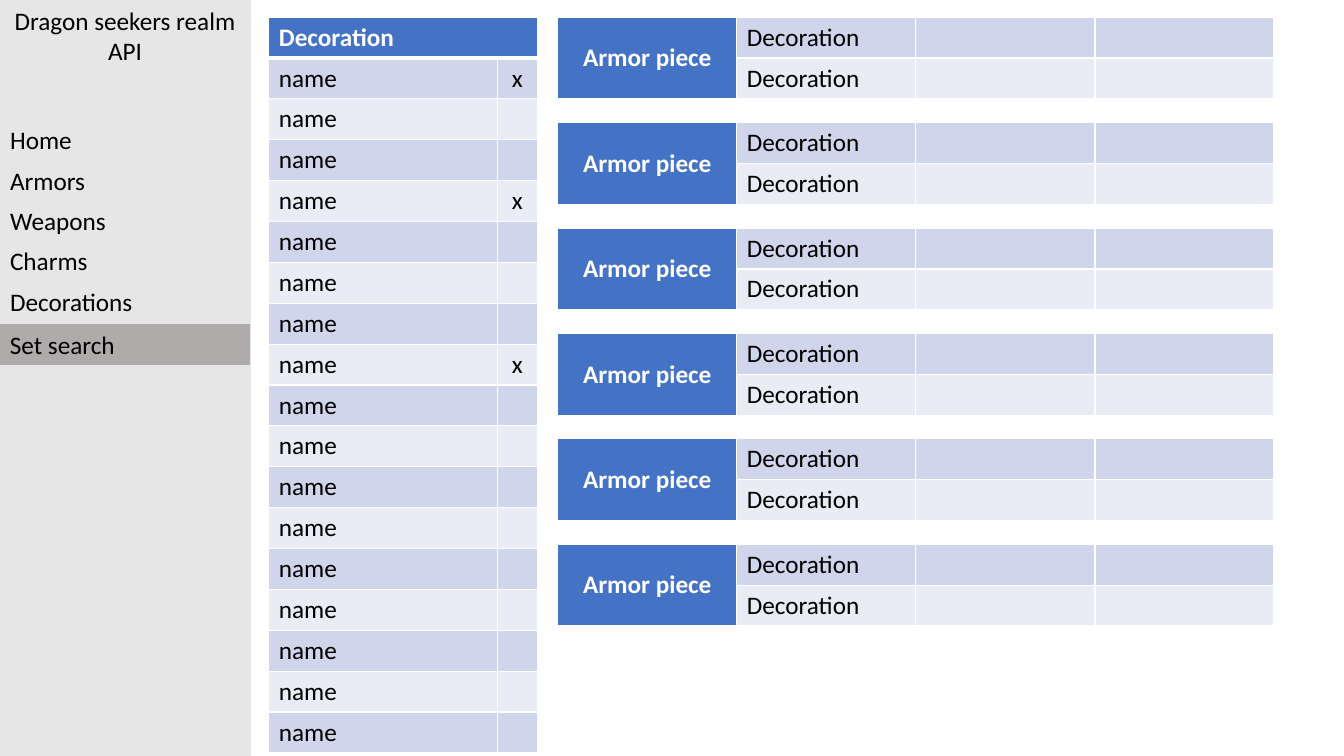
from collections import namedtuple
from lxml import etree
from pptx import Presentation, util as u
from pptx.dml.color import RGBColor
from pptx.enum import shapes, text
from pptx.oxml.ns import qn

Box = namedtuple("Box", "left top width height")
WIDTH, HEIGHT = u.Inches(13.33), u.Inches(7.5)
PERCENT, ROW = WIDTH / 100, HEIGHT / 18.5
WHITE, BLACK, BLUE = "FFFFFF", "000000", "4472C4"
BANDS = ["CFD5EA", "E9EBF5"]
LEFT, CENTER = text.PP_ALIGN.LEFT, text.PP_ALIGN.CENTER
TOP, MIDDLE = text.MSO_ANCHOR.TOP, text.MSO_ANCHOR.MIDDLE


def paint(target, color):
    target.solid()
    target.fore_color.rgb = RGBColor.from_string(color)


def grid(left, top, width, height):
    return Box(*(round(n) for n in (left * PERCENT, top * ROW, width * PERCENT, height * ROW)))


def place(part, box):
    part.left, part.top, part.width, part.height = box


def write(frame, *lines, color=BLACK, bold=False, align=LEFT, anchor=TOP, after=0):
    frame.word_wrap = True
    frame.auto_size = text.MSO_AUTO_SIZE.NONE
    frame.vertical_anchor = anchor
    for index, line in enumerate(lines):
        paragraph = frame.add_paragraph() if index else frame.paragraphs[0]
        paragraph.alignment = align
        paragraph.space_before, paragraph.space_after = u.Pt(0), u.Pt(after)
        run = paragraph.add_run()
        run.text = line
        run.font.name, run.font.size, run.font.bold = "Calibri", u.Pt(18), bold
        paint(run.font.fill, color)


def add_block(slide, box, color):
    block = slide.shapes.add_shape(shapes.MSO_SHAPE.RECTANGLE, *box)
    block.shadow.inherit = False
    paint(block.fill, color)
    block.line.fill.background()
    return block


def fill_cell(cell, band, words="", bottom=1, anchor=TOP, **style):
    properties = cell._tc.get_or_add_tcPr()
    for side, points in zip("LRTB", (1, 1, 1, bottom)):
        edge = etree.SubElement(properties, qn(f"a:ln{side}"), w=str(u.Pt(points)))
        solid = etree.SubElement(edge, qn("a:solidFill"))
        etree.SubElement(solid, qn("a:srgbClr"), val=WHITE)
    paint(cell.fill, band)
    if words:
        write(cell.text_frame, words, **style)
    cell.vertical_anchor = anchor


def new_table(slide, box, rows, shares):
    table = slide.shapes.add_table(rows, len(shares), *box).table
    for column, share in zip(table.columns, shares):
        column.width = round(box.width * share)
    for row in table.rows:
        row.height = round(box.height / rows)
    return table


def add_sidebar(slide, box, pages, current):
    panel = add_block(slide, box, "E7E6E6")
    paint(panel.line.fill, "E7E6E6")
    panel.line.width = u.Pt(1)
    slide.shapes._spTree.insert(2, panel._element)

    heading, menu = slide.shapes.title, slide.placeholders[1]
    place(heading, box._replace(height=round(1.75 * ROW)))
    write(heading.text_frame, "Dragon seekers realm", "API", align=CENTER)

    menu_top = box.top + round(2.93 * ROW)
    menu_height = round(len(pages) * ROW)
    place(menu, box._replace(top=menu_top, height=menu_height))
    write(menu.text_frame, *pages, after=7.2)
    for paragraph in menu.text_frame.paragraphs:
        properties = paragraph._p.get_or_add_pPr()
        properties.set("marL", "0")
        properties.set("indent", "0")
        etree.SubElement(properties, qn("a:buNone"))

    selected = add_block(slide, box._replace(top=menu_top + menu_height, height=round(ROW)), "AFABAB")
    write(selected.text_frame, current)


def add_decorations(slide, box, count, checked):
    table = new_table(slide, box, count + 1, [0.85, 0.15])
    for cell, words in zip(table.rows[0].cells, ("Decoration", "")):
        fill_cell(cell, BLUE, words, bottom=3, color=WHITE, bold=True)
    table.cell(0, 0).merge(table.cell(0, 1))
    for row in range(1, count + 1):
        band = BANDS[(row - 1) % 2]
        fill_cell(table.cell(row, 0), band, "name")
        fill_cell(table.cell(row, 1), band, "x" if row in checked else "", align=CENTER)


def add_armor_piece(slide, box):
    table = new_table(slide, box, 2, [0.25] * 4)
    table.first_row = False
    for row, band in enumerate(BANDS):
        fill_cell(table.cell(row, 0), BLUE, "" if row else "Armor piece", color=WHITE,
                  bold=True, align=CENTER, anchor=MIDDLE)
        for column, words in enumerate(("Decoration", "", ""), 1):
            fill_cell(table.cell(row, column), band, words)
    table.cell(0, 0).merge(table.cell(1, 0))


deck = Presentation()
deck.slide_width, deck.slide_height = WIDTH, HEIGHT
set_search = deck.slides.add_slide(deck.slide_layouts[1])
add_sidebar(set_search, grid(0, 0, 18.6, 18.5),
            ["Home", "Armors", "Weapons", "Charms", "Decorations"], "Set search")
add_decorations(set_search, grid(20, 0.42, 20, 18), 17, {1, 4, 8})
for piece in range(6):
    add_armor_piece(set_search, grid(41.5, 0.42 + piece * 2.58, 53.3, 1.96))
deck.save("out.pptx")
